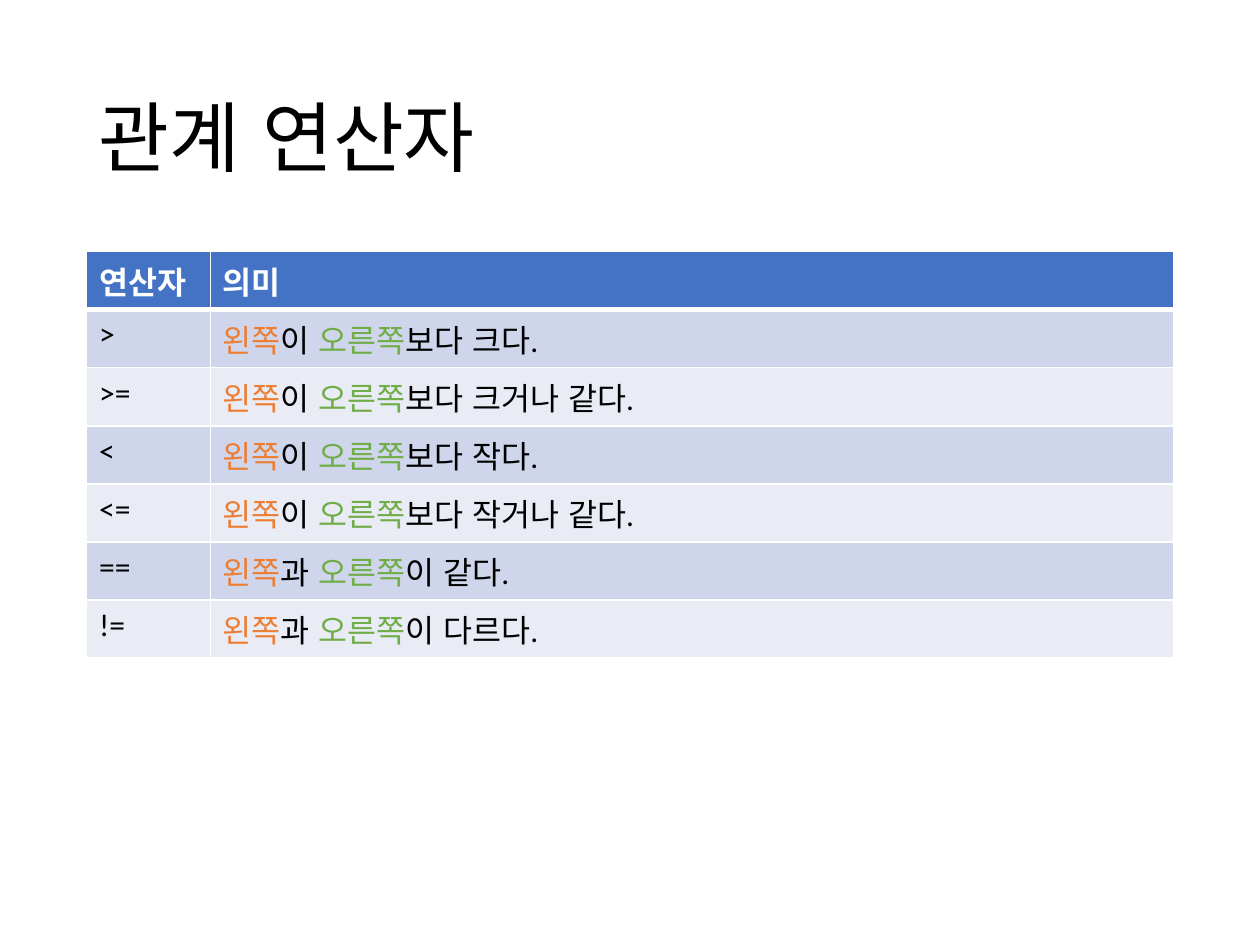
from dataclasses import dataclass

from lxml import etree
from pptx import Presentation
from pptx import util as u
from pptx.dml.color import RGBColor
from pptx.enum import lang, text as t
from pptx.oxml import ns


@dataclass(frozen=True)
class Theme:
    font: str = "Calibri"
    big: int = 44
    body: int = 18
    dark: str = "000000"
    light: str = "FFFFFF"
    head: str = "4472C4"
    bands: tuple = ("CFD5EA", "E9EBF5")
    left: str = "ED7D31"
    right: str = "70AD47"


THEME = Theme()
EDGE, WIDTH = 49.5, 621
COLS = (70.75, 550.25)
ROW = 33.2

# Operator, particle after the left side, rest after the right side
RULES = (
    (">", "이 ", "보다 크다."),
    (">=", "이 ", "보다 크거나 같다."),
    ("<", "이 ", "보다 작다."),
    ("<=", "이 ", "보다 작거나 같다."),
    ("==", "과 ", "이 같다."),
    ("!=", "과 ", "이 다르다."),
)


def write(para, words, size=THEME.body, color=THEME.dark, bold=False):
    run = para.add_run()
    run.text = words
    font = run.font
    font.name, font.size, font.bold = THEME.font, u.Pt(size), bold
    font.language_id = lang.MSO_LANGUAGE_ID.KOREAN
    font.color.rgb = RGBColor.from_string(color)


def border(cell, **sides):
    """Draw white cell edges; each side maps to a width in points."""
    props = cell._tc.get_or_add_tcPr()
    for side, width in sides.items():
        line = etree.SubElement(props, ns.qn(f"a:ln{side}"), w=str(u.Pt(width)))
        fill = etree.SubElement(line, ns.qn("a:solidFill"))
        etree.SubElement(fill, ns.qn("a:srgbClr"), val=THEME.light)


def paint(cell, color, top=1, base=1):
    border(cell, L=1, R=1, T=top, B=base)
    cell.fill.solid()
    cell.fill.fore_color.rgb = RGBColor.from_string(color)
    return cell.text_frame.paragraphs[0]


def title(slide, words):
    box = slide.shapes.add_textbox(u.Pt(EDGE), u.Pt(28.75), u.Pt(WIDTH), u.Pt(104.4))
    frame = box.text_frame
    frame.word_wrap = True
    frame.vertical_anchor = t.MSO_ANCHOR.MIDDLE
    para = frame.paragraphs[0]
    para.line_spacing = 0.9
    write(para, words, size=THEME.big)


def grid(slide):
    count = len(RULES) + 1
    table = slide.shapes.add_table(
        count, len(COLS), u.Pt(EDGE), u.Pt(143.75), u.Pt(WIDTH), u.Pt(ROW * count)
    ).table
    for col, width in zip(table.columns, COLS):
        col.width = u.Pt(width)
    for row in table.rows:
        row.height = u.Pt(ROW)

    # Header row
    for col, words in enumerate(("연산자", "의미")):
        para = paint(table.cell(0, col), THEME.head, base=3)
        write(para, words, color=THEME.light, bold=True)

    # One banded row for each operator
    for row, (sign, link, rest) in enumerate(RULES, 1):
        band = THEME.bands[(row - 1) % 2]
        top = 3 if row == 1 else 1
        write(paint(table.cell(row, 0), band, top), sign)
        para = paint(table.cell(row, 1), band, top)
        write(para, "왼쪽", color=THEME.left)
        write(para, link)
        write(para, "오른쪽", color=THEME.right)
        write(para, rest)


def main():
    deck = Presentation()
    deck.slide_width, deck.slide_height = u.Pt(720), u.Pt(540)
    slide = deck.slides.add_slide(deck.slide_layouts[6])
    title(slide, "관계 연산자")
    grid(slide)
    deck.save("out.pptx")


if __name__ == "__main__":
    main()
